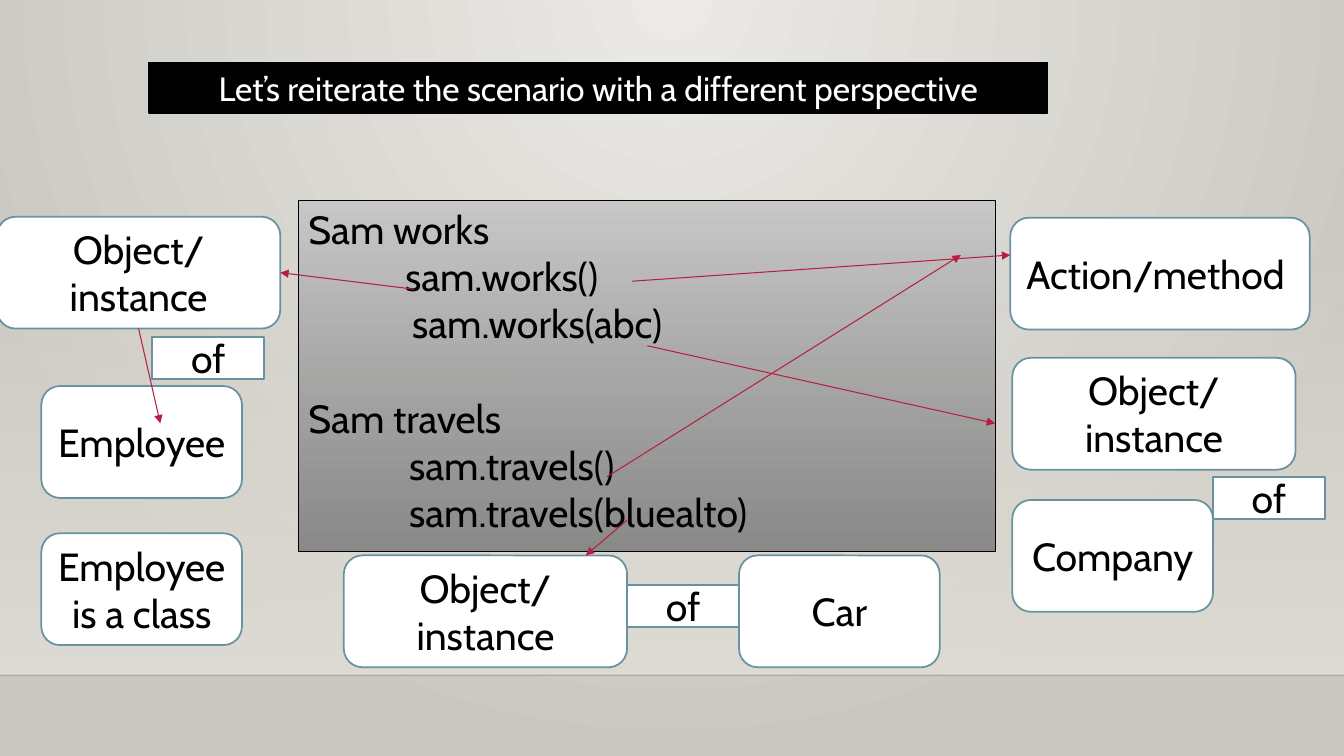
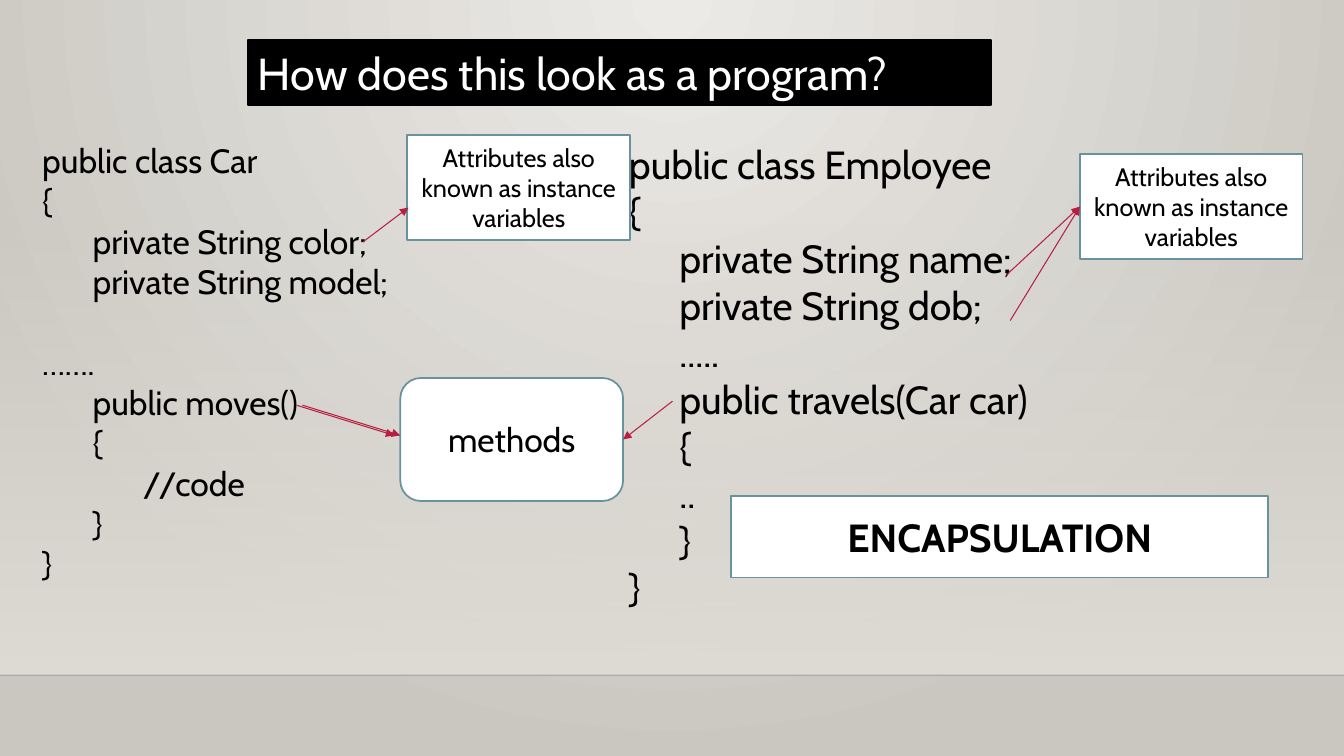
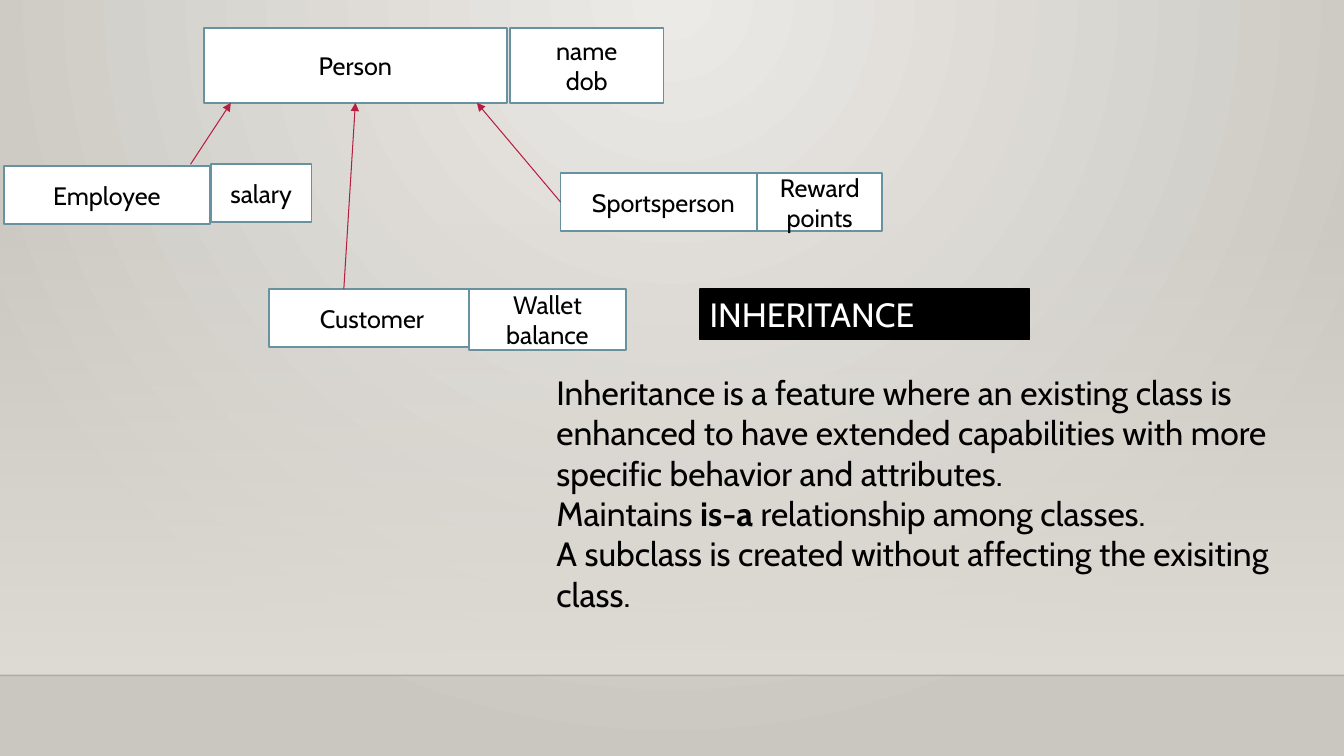
import lxml.etree
import pptx
import pptx.dml.color
import pptx.enum.shapes
import pptx.enum.text
import pptx.oxml.ns
import pptx.util

Inches = pptx.util.Inches
Pt = pptx.util.Pt
qn = pptx.oxml.ns.qn
KIND = pptx.enum.shapes.MSO_SHAPE
ALIGN = pptx.enum.text.PP_ALIGN
ANCHOR = pptx.enum.text.MSO_ANCHOR

FONT = "Cabin"
WIDE, HIGH, FLOOR = 13.33, 7.5, 6.7
HEX = {
    "glow": "ECEAE7", "edge": "CAC7C1", "wall": "DFDBD5", "rule": "000001",
    "ink": "000000", "paper": "FFFFFF", "frame": "6892A0", "arrow": "B71E42",
    "light": "C8C8C8", "dark": "848484",
}


def tint(name):
    """Return the named colour."""
    return pptx.dml.color.RGBColor.from_string(HEX[name])


def fade(color, share):
    """Set the opacity of a colour element in percent."""
    lxml.etree.SubElement(color, qn("a:alpha")).set("val", str(share * 1000))


def blend(fill, root, names, alphas=(100, 100)):
    """Apply a downward two-colour gradient and return its element."""
    fill.gradient()
    fill.gradient_angle = 270
    for stop, name in zip(fill.gradient_stops, names):
        stop.color.rgb = tint(name)
    grad = next(root.iter(qn("a:gradFill")))
    for color, share in zip(grad.iter(qn("a:srgbClr")), alphas):
        if share < 100:
            fade(color, share)
    return grad


def write(shape, lines, size=18, color="ink", align=ALIGN.LEFT, anchor=ANCHOR.TOP, bold=False):
    """Write lines, each text or (text, indent, gap); stars enclose bold words."""
    frame = shape.text_frame
    frame.word_wrap = True
    frame.vertical_anchor = anchor
    for i, line in enumerate(lines):
        text, indent, gap = line if isinstance(line, tuple) else (line, 0, 0)
        para = frame.add_paragraph() if i else frame.paragraphs[0]
        para.alignment = align
        para.space_before = Pt(gap)
        if indent:
            para._p.get_or_add_pPr().set("marL", str(Inches(indent)))
        for j, part in enumerate(text.split("*")):
            run = para.add_run()
            run.text = part
            run.font.name, run.font.size = FONT, Pt(size)
            run.font.bold = bold or j % 2 == 1
            run.font.color.rgb = tint(color)


def block(slide, x, y, w, h, kind=KIND.RECTANGLE, fill="paper", line="frame", width=1.25):
    """Add a plain shape; without a fill or line name that part is left bare."""
    shape = slide.shapes.add_shape(kind, Inches(x), Inches(y), Inches(w), Inches(h))
    shape.shadow.inherit = False
    if fill:
        shape.fill.solid()
        shape.fill.fore_color.rgb = tint(fill)
    if line:
        shape.line.color.rgb = tint(line)
        shape.line.width = Pt(width)
    else:
        shape.line.fill.background()
    return shape


def label(slide, x, y, w, h, *lines, size=18, kind=KIND.RECTANGLE, bold=False):
    """Add a white box with centred text."""
    shape = block(slide, x, y, w, h, kind)
    write(shape, lines, size=size, align=ALIGN.CENTER, anchor=ANCHOR.MIDDLE, bold=bold)
    return shape


def card(slide, x, y, text, w=1.99, h=1.11, size=28):
    """Add a rounded label."""
    return label(slide, x, y, w, h, text, size=size, kind=KIND.ROUNDED_RECTANGLE)


def thing(slide, x, y):
    """Add the card of an object."""
    return card(slide, x, y, "Object/instance", w=2.81)


def link(slide, x, y):
    """Add the small box between an object and its class."""
    return label(slide, x, y, 1.11, 0.42, "of", size=28)


def title(slide, x, y, w, h, text, size=24, align=ALIGN.LEFT):
    """Add a black title bar."""
    write(block(slide, x, y, w, h, fill="ink", line="ink"), [text],
          size=size, color="paper", align=align)


def prose(slide, x, y, w, h, lines, size=24):
    """Add a text box."""
    box = slide.shapes.add_textbox(Inches(x), Inches(y), Inches(w), Inches(h))
    write(box, lines, size=size)


def stroke(slide, start, end, color, width):
    """Join two ends, each a point or a (shape, site) pair."""
    spots = [(0, 0) if hasattr(e[0], "shape_id") else e for e in (start, end)]
    line = slide.shapes.add_connector(
        pptx.enum.shapes.MSO_CONNECTOR.STRAIGHT,
        *[Inches(v) for spot in spots for v in spot])
    for end_, join in ((start, line.begin_connect), (end, line.end_connect)):
        if hasattr(end_[0], "shape_id"):
            join(*end_)
    line.line.color.rgb = tint(color)
    line.line.width = Pt(width)
    lxml.etree.SubElement(line._element.spPr, qn("a:effectLst"))
    return line


def arrow(slide, start, end):
    """Add a thin red arrow."""
    line = stroke(slide, start, end, "arrow", 0.75)
    lxml.etree.SubElement(line.line._get_or_add_ln(), qn("a:tailEnd")).set("type", "triangle")


def theme(deck):
    """Give the master its radial backdrop."""
    master = deck.slide_master
    grad = blend(master.background.fill, master.element, ("glow", "edge"))
    grad.remove(grad.find(qn("a:lin")))
    ring = lxml.etree.SubElement(grad, qn("a:path"))
    ring.set("path", "circle")
    focus = lxml.etree.SubElement(ring, qn("a:fillToRect"))
    for side, share in (("l", 43), ("r", 43), ("b", 100)):
        focus.set(side, str(share * 1000))


def stage(deck):
    """Add a blank slide with the wall and floor line."""
    slide = deck.slides.add_slide(deck.slide_layouts[6])
    wall = block(slide, 0, 2.21, WIDE, FLOOR - 2.21, fill=None, line=None)
    blend(wall.fill, wall._element, ("wall", "wall"), (0, 100))
    rule = stroke(slide, (0, FLOOR), (WIDE, FLOOR), "rule", 1)
    fade(next(rule._element.iter(qn("a:srgbClr"))), 20)
    return slide


def story(slide, x, y, w, h):
    """Add the grey panel of calls."""
    panel = block(slide, x, y, w, h, fill=None, line="ink", width=0.75)
    blend(panel.fill, panel._element, ("light", "dark"), (100, 92))
    write(panel, [
        "Sam works", ("sam.works()", 0.96, 0), ("sam.works(abc)", 1.03, 0),
        ("Sam travels", 0, 33.6), ("sam.travels()", 1, 0),
        ("sam.travels(bluealto)", 1, 0)], size=28)


def family(slide, x, y, name, *traits, w=2.04, h=0.57, shift=(2.04, 0), span=1, tall=None):
    """Add a class box with its traits beside it."""
    main = label(slide, x, y, w, h, name)
    label(slide, x + shift[0], y + shift[1], span, tall or h, *traits)
    return main


def scene(deck):
    """Build the scenario slide."""
    slide = stage(deck)
    story(slide, 2.96, 1.99, 6.91, 3.48)
    title(slide, 1.48, 0.62, 8.91, 0.5, "Let’s reiterate the scenario with a different perspective",
          align=ALIGN.CENTER)
    card(slide, 10.02, 2.16, "Action/method ", w=2.97)
    for x, y, text in ((0.41, 3.83, "Employee"), (0.41, 5.29, "Employee is a class"),
                       (10.04, 4.96, "Company")):
        card(slide, x, y, text)
    for x, y in ((1.51, 3.34), (12.03, 4.73), (6.22, 5.8)):
        link(slide, x, y)
    card(slide, 7.33, 5.51, "Car")
    sam = [thing(slide, x, y) for x, y in ((10.04, 3.55), (3.41, 5.51), (-0.03, 2.15))][-1]
    for start, end in (
            ((sam, 2), (1.59, 4.2)), ((4.11, 2.87), (sam, 3)),
            ((6.27, 2.79), (10.02, 2.53)), ((6.42, 3.43), (9.87, 4.2)),
            ((6.22, 5.16), (5.81, 5.51)), ((6.02, 4.73), (9.53, 2.53))):
        arrow(slide, start, end)


def program(deck):
    """Build the program slide."""
    slide = stage(deck)
    title(slide, 2.46, 0.4, 7.37, 0.64, "How does this look as a program?", size=32)
    prose(slide, 0.32, 1.34, 4.09, 4.5, [
        "public class Car", "{", ("private String color;", 0.5, 0),
        ("private String model;", 0.5, 0), ("…….", 0, 28.8), ("public moves()", 0.5, 0),
        ("{", 0.5, 0), ("//code", 1, 0), ("}", 0.5, 0), "}"])
    body = ("private String name;", "private String dob;", ".....",
            "public travels(Car car)", "{", "..", "}")
    prose(slide, 6.14, 1.34, 6.67, 4.77,
          ["public class Employee", "{", *[(text, 0.5, 0) for text in body], "}"], size=28)
    note = [label(slide, x, y, 2.21, 1.04, "Attributes also known as instance variables")
            for x, y in ((4.04, 1.34), (10.71, 1.53))][-1]
    way = card(slide, 3.97, 3.75, "methods", w=2.21, h=1.22, size=24)
    label(slide, 7.25, 4.92, 5.33, 0.81, "ENCAPSULATION", size=28, bold=True)
    for start, end in (
            ((9.98, 2.73), (note, 1)), ((10.02, 3.18), (note, 1)),
            ((3.6, 2.4), (4.05, 2.06)), ((2.94, 4.02), (3.91, 4.32)),
            ((3, 4.02), (3.97, 4.32)), ((6.67, 3.98), (way, 3))):
        arrow(slide, start, end)


def tree(deck):
    """Build the inheritance slide."""
    slide = stage(deck)
    person = family(slide, 2.02, 0.28, "Person", "name", "dob",
                    w=3.01, h=0.74, shift=(3.04, 0), span=1.52)
    family(slide, 0.04, 1.65, "Employee", "salary", shift=(2.05, -0.02))
    family(slide, 2.67, 2.87, "Customer", "Wallet balance",
           shift=(1.98, 0), span=1.56, tall=0.6)
    sport = family(slide, 5.56, 1.72, "Sportsperson", "Reward points",
                   shift=(1.95, 0), span=1.24)
    for start, end in (((sport, 1), (4.73, 1.02)), ((1.89, 1.63), (2.29, 1.02)),
                       ((3.41, 2.87), (person, 2))):
        arrow(slide, start, end)
    title(slide, 6.94, 2.87, 3.27, 0.5, "INHERITANCE")
    prose(slide, 5.42, 3.64, 7.55, 2.52, [
        "Inheritance is a feature where an existing class is enhanced to have extended "
        "capabilities with more specific behavior and attributes.",
        "Maintains *is-a* relationship among classes.",
        "A subclass is created without affecting the exisiting class."])


def main():
    """Build and save the deck."""
    deck = pptx.Presentation()
    deck.slide_width, deck.slide_height = Inches(WIDE), Inches(HIGH)
    theme(deck)
    for build in (scene, program, tree):
        build(deck)
    deck.save("out.pptx")


if __name__ == "__main__":
    main()
